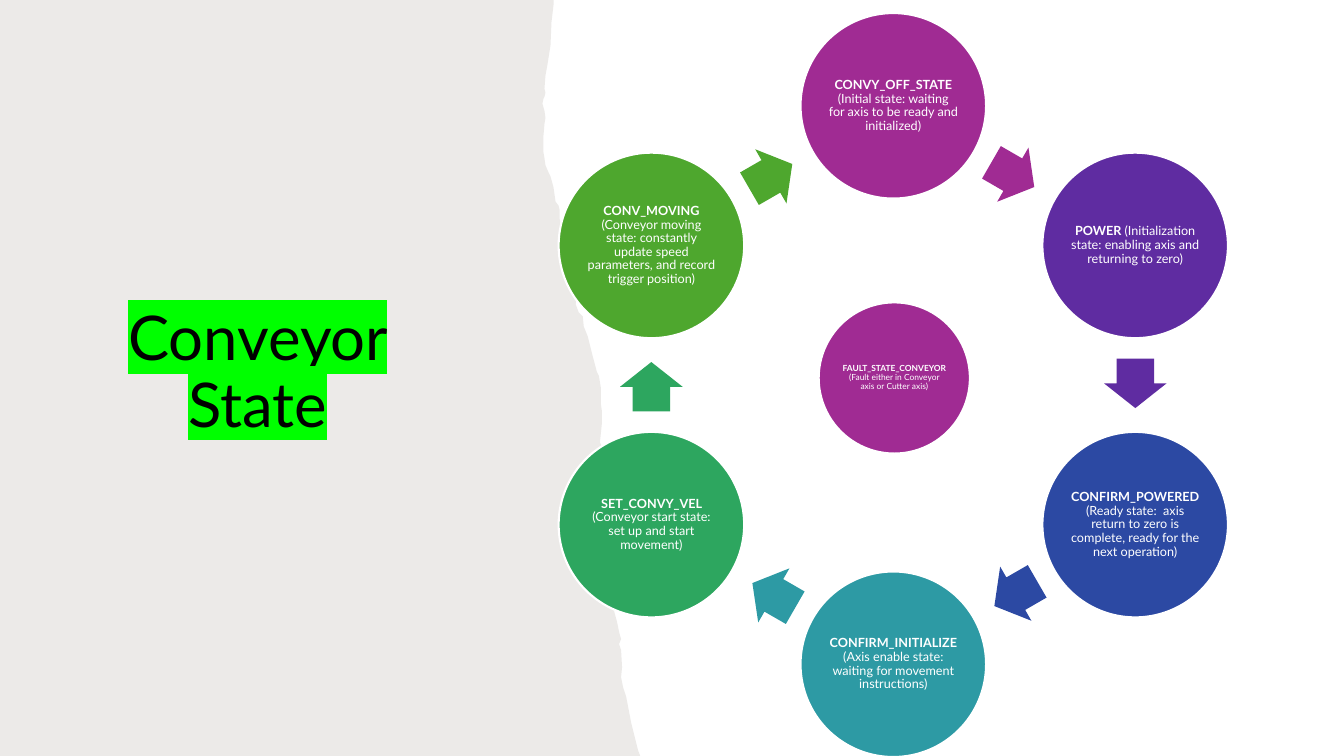
from math import cos, radians, sin

from lxml import etree
from pptx import Presentation
from pptx.dml.color import RGBColor
from pptx.enum.shapes import MSO_SHAPE
from pptx.enum.text import MSO_ANCHOR, MSO_AUTO_SIZE, PP_ALIGN
from pptx.oxml.ns import qn
from pptx.util import Inches, Pt

OVAL, ARROW = MSO_SHAPE.OVAL, MSO_SHAPE.RIGHT_ARROW
MIDDLE, BOTTOM = MSO_ANCHOR.MIDDLE, MSO_ANCHOR.BOTTOM
CENTER = PP_ALIGN.CENTER
FIXED_SIZE = MSO_AUTO_SIZE.NONE

FONT = "Lato"
WHITE = "FFFFFF"
RING_X, RING_Y, RING_RADIUS = 8.86, 3.82, 2.77
STATE_SIZE = 1.84
ARROW_WIDTH, ARROW_HEIGHT, ARROW_RADIUS = 0.49, 0.62, 2.4
FIRST_ARROW_ANGLE = 29.6

STATES = [
    ("CONVY_OFF_STATE", "(Initial state: waiting for axis to be ready and initialized)", "A02B93"),
    ("POWER", "(Initialization state: enabling axis and returning to zero)", "5F2CA1"),
    ("CONFIRM_POWERED",
     "(Ready state:  axis return to zero is complete, ready for the next operation)", "2C49A3"),
    ("CONFIRM_INITIALIZE", "(Axis enable state: waiting for movement instructions)", "2D9AA4"),
    ("SET_CONVY_VEL", "(Conveyor start state: set up and start movement)", "2DA65F"),
    ("CONV_MOVING",
     "(Conveyor moving state: constantly update speed parameters, and record trigger position)",
     "4EA72E"),
]
FAULT = ("FAULT_STATE_CONVEYOR", "(Fault either in Conveyor axis or Cutter axis)", "A02B93")

TORN_EDGE = [
    (5.49, 0), (5.49, 0.05), (5.47, 0.22), (5.46, 0.45), (5.43, 0.64), (5.41, 0.75),
    (5.4, 0.88), (5.41, 0.92), (5.4, 0.96), (5.39, 0.98), (5.38, 1.03), (5.4, 1.1),
    (5.41, 1.17), (5.4, 1.23), (5.39, 1.35), (5.39, 1.51), (5.4, 1.57), (5.41, 1.64),
    (5.44, 1.71), (5.46, 1.75), (5.49, 1.86), (5.51, 2), (5.54, 2.04), (5.55, 2.08),
    (5.55, 2.17), (5.57, 2.26), (5.6, 2.38), (5.64, 2.47), (5.67, 2.54), (5.69, 2.65),
    (5.7, 2.74), (5.72, 2.9), (5.71, 3.02), (5.74, 3.1), (5.78, 3.14), (5.79, 3.24),
    (5.83, 3.34), (5.87, 3.5), (5.92, 3.69), (5.94, 3.73), (5.96, 3.85), (5.96, 4.01),
    (5.97, 4.08), (5.97, 4.2), (5.95, 4.39), (5.97, 4.43), (5.97, 4.48), (5.96, 4.55),
    (5.97, 4.73), (5.97, 4.84), (6, 4.94), (5.99, 5.02), (5.98, 5.1), (5.96, 5.16),
    (5.97, 5.24), (6.01, 5.34), (6.03, 5.43), (6.03, 5.61), (6.05, 5.69), (6.04, 5.75),
    (6.07, 5.86), (6.09, 6.06), (6.12, 6.17), (6.14, 6.27), (6.16, 6.34), (6.14, 6.39),
    (6.16, 6.45), (6.17, 6.62), (6.16, 6.72), (6.18, 6.82), (6.21, 6.91), (6.26, 7.17),
    (6.33, 7.45), (6.35, 7.5),
]


def color(hex_value):
    """Turn a hex string into a colour."""
    return RGBColor.from_string(hex_value)


def apply(target, values):
    """Set attributes from a dict of format values."""
    for name, value in values.items():
        setattr(target, name, value)


def paint(shape, fill, line=None):
    """Give a shape a flat fill and an optional outline."""
    shape.shadow.inherit = False
    shape.fill.solid()
    shape.fill.fore_color.rgb = color(fill)
    if line:
        shape.line.color.rgb = color(line)
        shape.line.width = Pt(1.5)
    else:
        shape.line.fill.background()


def add_span(para, text, size, ink, bold=False):
    """Add a formatted run to a paragraph."""
    span = para.add_run()
    span.text = text
    apply(span.font, {"name": FONT, "size": Pt(size), "bold": bold})
    span.font.color.rgb = color(ink)
    return span


def add_torn_panel(page):
    """Draw the translucent panel with a torn right edge behind everything."""
    outline = [(Inches(x), Inches(y)) for x, y in TORN_EDGE + [(0, 7.5)]]
    builder = page.shapes.build_freeform(0, 0)
    builder.add_line_segments(outline, close=True)
    panel = builder.convert_to_shape()
    paint(panel, "82766A")
    tint = panel._element.spPr.find(".//" + qn("a:srgbClr"))
    etree.SubElement(tint, qn("a:alpha"), val="15000")
    page.shapes._spTree.insert(2, panel._element)


def add_title(page, text):
    """Place the highlighted title."""
    title = page.shapes.title
    apply(title, {"left": Inches(0.48), "top": Inches(3.52),
                  "width": Inches(4.15), "height": Inches(0.9)})
    apply(title.text_frame, {"vertical_anchor": BOTTOM, "word_wrap": True,
                             "auto_size": FIXED_SIZE})
    para = title.text_frame.paragraphs[0]
    apply(para, {"alignment": CENTER, "line_spacing": 0.9})
    span = add_span(para, text, 44, "000000")
    highlight = etree.Element(qn("a:highlight"))
    etree.SubElement(highlight, qn("a:srgbClr"), val="00FF00")
    span._r.get_or_add_rPr().find(qn("a:solidFill")).addnext(highlight)


def add_state(page, center_x, center_y, diameter, state, size):
    """Draw a state circle with its name and description."""
    name, description, fill = state
    circle = page.shapes.add_shape(OVAL, Inches(center_x - diameter / 2),
                                   Inches(center_y - diameter / 2),
                                   Inches(diameter), Inches(diameter))
    paint(circle, fill, WHITE)
    inset = Inches(0.01)
    apply(circle.text_frame, {"word_wrap": True, "vertical_anchor": MIDDLE,
                              "margin_left": inset, "margin_right": inset,
                              "margin_top": inset, "margin_bottom": inset})
    para = circle.text_frame.paragraphs[0]
    apply(para, {"alignment": CENTER, "line_spacing": 0.9})
    add_span(para, name + " ", size, WHITE, bold=True)
    add_span(para, description, size, WHITE)


def add_arrow(page, center_x, center_y, rotation, fill):
    """Draw a block arrow turned along the cycle."""
    arrow = page.shapes.add_shape(ARROW, Inches(center_x - ARROW_WIDTH / 2),
                                  Inches(center_y - ARROW_HEIGHT / 2),
                                  Inches(ARROW_WIDTH), Inches(ARROW_HEIGHT))
    arrow.adjustments[0] = 0.6
    arrow.adjustments[1] = 0.5
    arrow.rotation = rotation
    paint(arrow, fill)


def ring_point(radius, degrees):
    """Find a point clockwise from the top of the cycle."""
    angle = radians(degrees)
    return RING_X + radius * sin(angle), RING_Y - radius * cos(angle)


def main():
    """Build the conveyor state slide."""
    deck = Presentation()
    apply(deck, {"slide_width": Inches(13.33), "slide_height": Inches(7.5)})
    page = deck.slides.add_slide(deck.slide_layouts[5])
    add_torn_panel(page)
    add_title(page, "Conveyor State")
    step = 360 / len(STATES)
    for index, state in enumerate(STATES):
        turn = index * step
        add_state(page, *ring_point(RING_RADIUS, turn), STATE_SIZE, state, 9)
        add_arrow(page, *ring_point(ARROW_RADIUS, FIRST_ARROW_ANGLE + turn),
                  step / 2 + turn, state[2])
    add_state(page, 8.87, 3.75, 1.5, FAULT, 6)
    deck.save("out.pptx")


if __name__ == "__main__":
    main()
